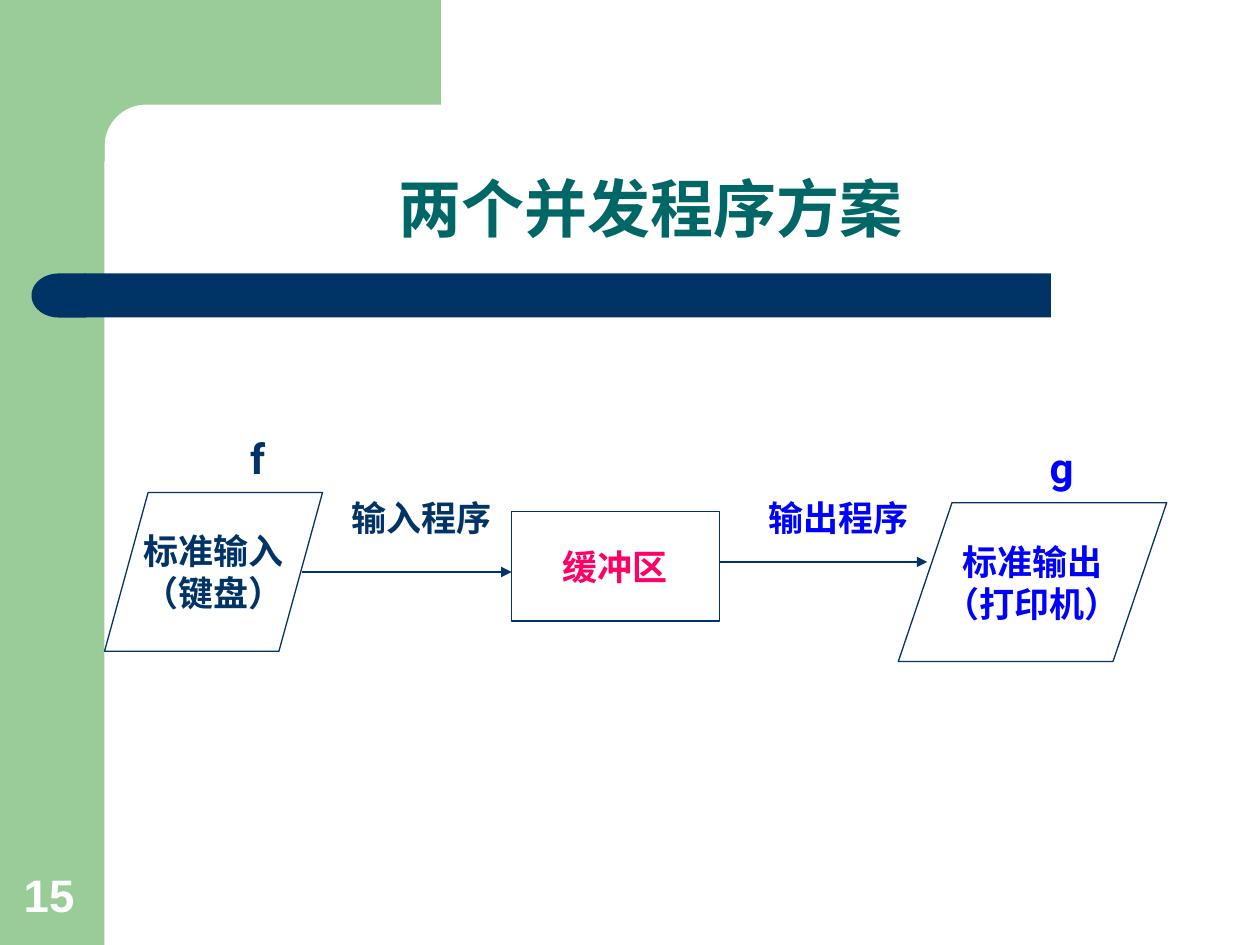
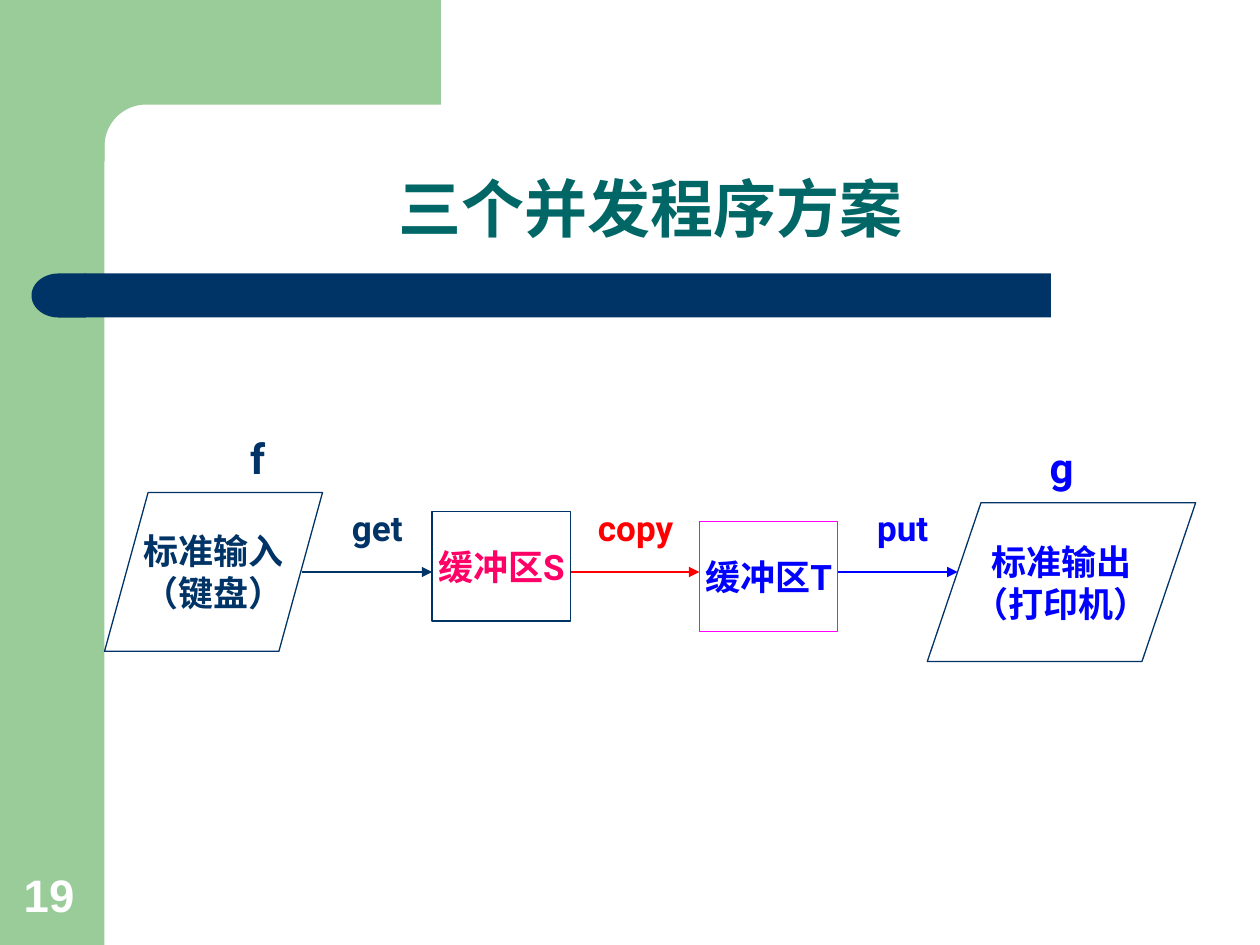
from dataclasses import dataclass
from math import cos, pi, sin

from lxml.etree import SubElement
from pptx import Presentation
from pptx.dml.color import RGBColor
from pptx.enum.shapes import MSO_CONNECTOR, MSO_SHAPE
from pptx.enum.text import MSO_ANCHOR, MSO_AUTO_SIZE, PP_ALIGN
from pptx.oxml.ns import qn
from pptx.util import Inches, Pt


@dataclass(frozen=True)
class Theme:
    """Colours, fonts and type sizes shared by the slides."""
    green: str = "99CC99"
    navy: str = "003366"
    teal: str = "006666"
    blue: str = "0000FF"
    pink: str = "FF0066"
    red: str = "FF0000"
    magenta: str = "FF00FF"
    white: str = "FFFFFF"
    heading_font: str = "Arial"
    diagram_font: str = "Roboto"
    title_size: int = 36
    number_size: int = 26
    file_size: int = 24
    label_size: int = 20
    line_width: float = 0.75


class FlowDeck:
    """Draws the flow diagrams on slides of one style."""

    def __init__(self, theme):
        self.theme = theme
        self.deck = Presentation()
        self.deck.slide_width = Inches(10)
        self.deck.slide_height = Inches(7.5)
        self.page = None

    def start_page(self, title, number):
        theme = self.theme
        self.page = self.deck.slides.add_slide(self.deck.slide_layouts[5])
        self.band(MSO_SHAPE.RECTANGLE, (0, 0, 0.83, 7.5), theme.green)
        self.corner()
        self.band(MSO_SHAPE.RECTANGLE, (0.67, 2.17, 7.67, 0.35), theme.navy)
        cap = self.band(MSO_SHAPE.FLOWCHART_DELAY, (0.25, 2.17, 0.43, 0.35), theme.navy)
        cap.rotation = 180
        self.title(title)
        self.number(number)

    def finish_shape(self, shape, fill=None, line=None):
        shape.shadow.inherit = False
        if fill:
            shape.fill.solid()
            shape.fill.fore_color.rgb = RGBColor.from_string(fill)
        else:
            shape.fill.background()
        if line:
            shape.line.color.rgb = RGBColor.from_string(line)
            shape.line.width = Pt(self.theme.line_width)
        else:
            shape.line.fill.background()

    def band(self, kind, place, color):
        shape = self.page.shapes.add_shape(kind, *map(Inches, place))
        self.finish_shape(shape, fill=color)
        return shape

    def corner(self):
        radius, center, steps = 0.33, 1.16, 24
        angles = [pi / 2 * step / steps for step in range(steps + 1)]
        arc = [(center - radius * sin(a), center - radius * cos(a)) for a in angles]
        points = [(3.5, 0), (3.5, 0.83), *arc, (0.83, 1.28), (0.5, 1.28)]
        outline = self.page.shapes.build_freeform(Inches(0.5), Inches(0))
        outline.add_line_segments([(Inches(x), Inches(y)) for x, y in points])
        self.finish_shape(outline.convert_to_shape(), fill=self.theme.green)

    def set_text(self, shape, text, color, size, font=None, align=PP_ALIGN.CENTER,
                 anchor=MSO_ANCHOR.MIDDLE, wrap=False):
        frame = shape.text_frame
        frame.text = text
        frame.word_wrap = wrap
        frame.auto_size = MSO_AUTO_SIZE.NONE
        frame.vertical_anchor = anchor
        for para in frame.paragraphs:
            para.alignment = align
            for span in para.runs:
                span.font.name = font or self.theme.diagram_font
                span.font.size = Pt(size)
                span.font.bold = True
                span.font.color.rgb = RGBColor.from_string(color)

    def title(self, text):
        title = self.page.shapes.title
        title.left, title.top, title.width, title.height = map(Inches, (0.91, 0.91, 8.51, 1.09))
        self.set_text(title, text, self.theme.teal, self.theme.title_size,
                      self.theme.heading_font, anchor=MSO_ANCHOR.BOTTOM, wrap=True)
        title.text_frame.paragraphs[0].line_spacing = 0.9

    def number(self, text):
        box = self.page.shapes.add_textbox(*map(Inches, (0.09, 6.83, 0.64, 0.53)))
        self.set_text(box, text, self.theme.white, self.theme.number_size,
                      self.theme.heading_font, PP_ALIGN.LEFT, MSO_ANCHOR.BOTTOM, True)

    def node(self, kind, place, text, color, line=None):
        shape = self.page.shapes.add_shape(kind, *map(Inches, place))
        self.finish_shape(shape, line=line or self.theme.navy)
        self.set_text(shape, text, color, self.theme.label_size)

    def buffer(self, left, top, width, text, color, line=None):
        self.node(MSO_SHAPE.RECTANGLE, (left, top, width, 0.87), text, color, line)

    def label(self, place, text, color, size=None):
        box = self.page.shapes.add_textbox(*map(Inches, place))
        self.set_text(box, text, color, size or self.theme.label_size)

    def devices(self, output_left):
        theme = self.theme
        data = MSO_SHAPE.FLOWCHART_DATA
        self.node(data, (0.83, 3.91, 1.73, 1.26), "标准输入\n（键盘）", theme.navy)
        self.node(data, (output_left, 3.99, 2.13, 1.26), "标准输出\n（打印机）", theme.blue)
        self.label((1.77, 3.44, 0.55, 0.39), "f", theme.navy, theme.file_size)
        self.label((8.15, 3.51, 0.55, 0.39), "g", theme.blue, theme.file_size)

    def arrow(self, start, end, level, color):
        connector = self.page.shapes.add_connector(
            MSO_CONNECTOR.STRAIGHT, *map(Inches, (start, level, end, level)))
        connector.line.color.rgb = RGBColor.from_string(color)
        connector.line.width = Pt(self.theme.line_width)
        properties = connector._element.spPr
        SubElement(properties.find(qn("a:ln")), qn("a:tailEnd"), type="triangle")
        SubElement(properties, qn("a:effectLst"))


def two_programs(flow):
    """Draw input and output programs around one buffer."""
    theme = flow.theme
    flow.start_page("两个并发程序方案", "15")
    flow.devices(output_left=7.13)
    flow.buffer(4.06, 4.06, 1.65, "缓冲区", theme.pink)
    flow.arrow(2.4, 4.06, 4.54, theme.navy)
    flow.arrow(5.71, 7.36, 4.46, theme.navy)
    for left, text, color in ((2.56, "输入程序", theme.navy), (5.87, "输出程序", theme.blue)):
        flow.label((left, 3.83, 1.57, 0.55), text, color)


def three_programs(flow):
    """Draw get, copy and put around two buffers."""
    theme = flow.theme
    flow.start_page("三个并发程序方案", "19")
    flow.devices(output_left=7.36)
    flow.buffer(3.43, 4.06, 1.1, "缓冲区S", theme.pink)
    flow.buffer(5.55, 4.14, 1.1, "缓冲区T", theme.blue, theme.magenta)
    steps = (
        ("get", 2.56, 2.4, 3.43, theme.navy),
        ("copy", 4.61, 4.53, 5.55, theme.red),
        ("put", 6.73, 6.65, 7.6, theme.blue),
    )
    for text, left, start, end, color in steps:
        flow.label((left, 3.91, 0.87, 0.55), text, color)
        flow.arrow(start, end, 4.54, color)


def main():
    """Build and save both slides."""
    flow = FlowDeck(Theme())
    two_programs(flow)
    three_programs(flow)
    flow.deck.save("out.pptx")


if __name__ == "__main__":
    main()
